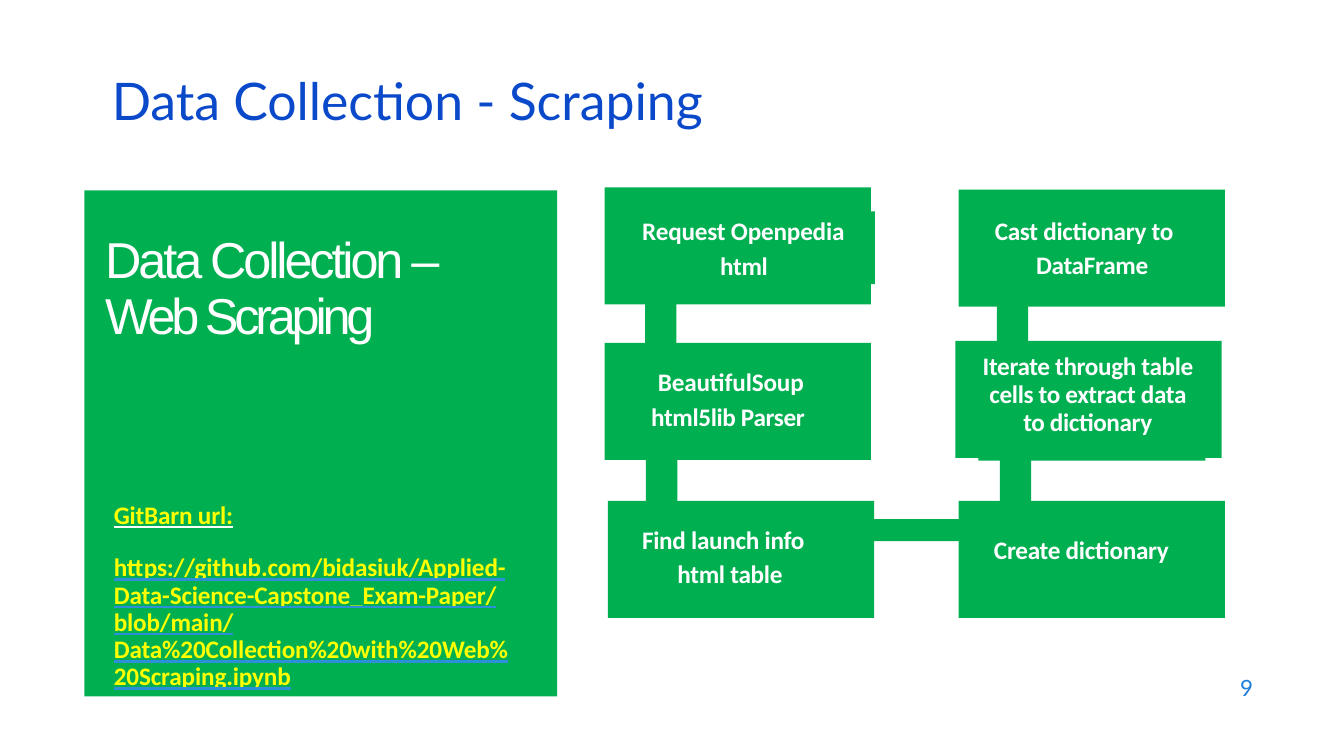
from lxml import etree
from pptx import Presentation, util as u
from pptx.dml.color import RGBColor
from pptx.enum import shapes, text
from pptx.oxml.ns import qn

GREEN, WHITE, YELLOW = "00B050", "FFFFFF", "FFFF00"
LEFT, MID, RIGHT = text.PP_ALIGN.LEFT, text.PP_ALIGN.CENTER, text.PP_ALIGN.RIGHT


def shade(code):
    return RGBColor.from_string(code)


class Deck:
    def __init__(self):
        self.show = Presentation()
        self.show.slide_width = u.Cm(33.87)
        self.show.slide_height = u.Cm(19.05)
        self.slide = self.show.slides.add_slide(self.show.slide_layouts[6])

    def block(self, x, y, w, h):
        box = self.slide.shapes.add_shape(
            shapes.MSO_SHAPE.RECTANGLE, *map(u.Cm, (x, y, w, h)))
        box.shadow.inherit = False
        box.fill.solid()
        box.fill.fore_color.rgb = shade(GREEN)
        box.line.fill.background()

    def words(self, place, lines, size=18, face="Calibri", color=WHITE, bold=True,
              align=LEFT, gap=None, top=0.03, inset=0.0, indents=((0.03, 0),),
              under=None, middle=False):
        box = self.slide.shapes.add_textbox(*map(u.Cm, place))
        frame = box.text_frame
        frame.word_wrap = True
        frame.margin_left = frame.margin_right = u.Cm(inset)
        frame.margin_top, frame.margin_bottom = u.Cm(top), 0
        if middle:
            frame.vertical_anchor = text.MSO_ANCHOR.MIDDLE
        frame.text = "\n".join(line for line, _ in lines)
        for i, (para, (_, pitch)) in enumerate(zip(frame.paragraphs, lines)):
            para.alignment = align
            if gap:
                para.line_spacing = gap
            start, hang = indents[min(i, len(indents) - 1)]
            props = para._p.get_or_add_pPr()
            props.set("marL", str(u.Cm(start)))
            props.set("indent", str(u.Cm(hang)))
            for run in para.runs:
                self.style(run, size, face, color, bold, under, pitch)

    def style(self, run, size, face, color, bold, under, pitch):
        font = run.font
        font.size, font.bold = u.Pt(size), bold
        font.color.rgb = shade(color)
        props = run._r.get_or_add_rPr()
        props.set("spc", str(round(pitch * 100)))
        if under:
            font.underline = True
            fill = etree.SubElement(props, qn("a:uFill"))
            solid = etree.SubElement(fill, qn("a:solidFill"))
            etree.SubElement(solid, qn("a:srgbClr"), val=under)
        font.name = face

    def save(self):
        self.show.save("out.pptx")


def main():
    deck = Deck()
    deck.words((24.21, 16.74, 7.62, 1.12), [("9", 0)], 16, "Lato", "1C7DDB", False,
               RIGHT, inset=0.25, indents=((0, 0),), middle=True)
    deck.words((2.57, 1.93, 29.21, 1.52), [("Data Collection - Scraping", 0)], 37,
               "Lato", "0B49CB", False, gap=0.7, inset=0.25, indents=((0, 0),),
               middle=True)

    panel = (2.13, 4.8, 11.91, 12.75)
    cards = [(15.24, 4.72), (15.24, 8.64), (15.32, 12.62),
             (24.16, 12.62), (24.08, 8.59), (24.16, 4.78)]
    links = [(16.26, 5.44), (16.28, 9.32), (25.2, 9.83), (25.12, 5.82)]
    edges = [(15.29, 5.33, 6.76, 1.83), (24.66, 8.64, 5.72, 2.97)]
    bridge = (16.66, 13.08, 8.81, 0.56)
    deck.block(*panel)
    for x, y in links:
        deck.block(x, y, 0.79, 3.6)
    deck.block(*bridge)
    for x, y in cards:
        deck.block(x, y, 6.71, 2.95)
    for edge in edges:
        deck.block(*edge)

    deck.words((2.62, 5.82, 10.72, 2.9),
               [("Data Collection –", -2.2), ("Web Scraping", -3)],
               36, "Arial", bold=False, gap=u.Pt(40.1))
    deck.words((15.98, 5.26, 5.51, 1.78),
               [("Request Openpedia", -0.15), ("html", -0.2)],
               align=MID, gap=u.Pt(25.2), indents=((0, 0), (0.03, 0)))
    deck.words((16.38, 9.07, 4.45, 1.78),
               [("BeautifulSoup", -0.1), ("html5lib Parser", -0.25)],
               gap=u.Pt(25.2), indents=((0.2, 0), (0.03, 0)))
    deck.words((16.13, 12.98, 5.05, 1.83), [("Find launch info html table", -0.2)],
               gap=u.Pt(24.3), top=0.13, indents=((0.94, -0.89),))
    deck.words((25.02, 13.44, 5.05, 0.81), [("Create dictionary", -0.2)])
    deck.words((24.65, 8.81, 5.5, 2.24),
               [("Iterate through table cells to extract data to dictionary", -0.25)],
               align=MID, gap=0.92, top=0.1)
    deck.words((25.04, 5.21, 5.16, 1.83), [("Cast dictionary to DataFrame", -0.2)],
               gap=u.Pt(24.2), top=0.13, indents=((1.07, -1.04),))

    deck.words((2.84, 12.55, 3.63, 0.81), [("GitBarn url:", -0.15)],
               color=YELLOW, under=WHITE)
    deck.words((2.84, 13.89, 10.26, 2.87),
               [("https://github.com/bidasiuk/Applied-Data-Science-Capstone_Exam-Paper/"
                 "blob/main/Data%20Collection%20with%20Web%20Scraping.ipynb", -0.1)],
               color=YELLOW, under="2E8FD9", gap=0.9, top=0.1)
    deck.save()


if __name__ == "__main__":
    main()
